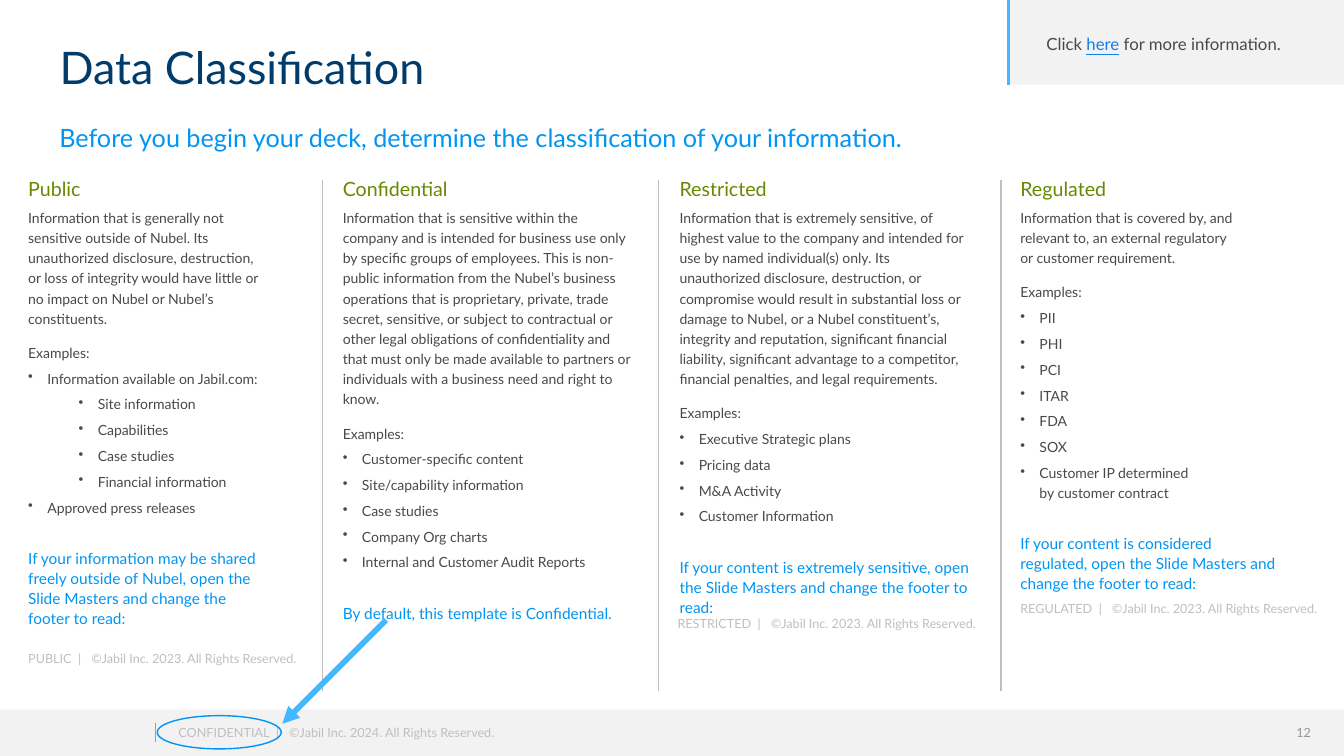
"""Build the Data Classification slide."""
from dataclasses import dataclass

from lxml import etree
from pptx import Presentation
from pptx.dml.color import RGBColor
from pptx.enum.shapes import MSO_CONNECTOR, MSO_SHAPE
from pptx.enum.text import MSO_ANCHOR, MSO_AUTO_SIZE, PP_ALIGN
from pptx.oxml.ns import qn
from pptx.util import Inches, Pt

RECT, OVAL = MSO_SHAPE.RECTANGLE, MSO_SHAPE.OVAL
STRAIGHT = MSO_CONNECTOR.STRAIGHT
TOP, MIDDLE = MSO_ANCHOR.TOP, MSO_ANCHOR.MIDDLE
LEFT, RIGHT = PP_ALIGN.LEFT, PP_ALIGN.RIGHT
NO_FIT = MSO_AUTO_SIZE.NONE
FONT = "Lato"
NAVY, BLUE, SKY, LINK = "003C6B", "0095F2", "43B7FF", "0F80EE"
GREEN, TEXT, GRAY, PALE, NUMBER = "688802", "494949", "BFBFBF", "F2F2F2", "959595"
COLUMN_TOP, DIVIDER_BOTTOM = 1.79, 6.86


@dataclass
class Column:
    """One classification level; examples pair a text with its indent level."""
    name: str
    x: float
    w: float
    h: float
    description: str
    examples: list[tuple[str, int]]
    advice: str


@dataclass
class Notice:
    """A sample footer line."""
    label: str
    year: int
    x: float
    y: float
    w: float


COLUMNS = [
    Column("Public", 0.28, 2.36, 4.63,
           "Information that is generally not sensitive outside of Nubel. Its unauthorized "
           "disclosure, destruction, or loss of integrity would have little or no impact on "
           "Nubel or Nubel’s constituents.",
           [("Information available on Jabil.com:", 0), ("Site information", 1),
            ("Capabilities", 1), ("Case studies", 1), ("Financial information", 1),
            ("Approved press releases", 0)],
           "If your information may be shared freely outside of Nubel, open the Slide Masters "
           "and change the footer to read:"),
    Column("Confidential", 3.4, 2.91, 4.44,
           "Information that is sensitive within the company and is intended for business use "
           "only by specific groups of employees. This is non-public information from the "
           "Nubel’s business operations that is proprietary, private, trade secret, sensitive, "
           "or subject to contractual or other legal obligations of confidentiality and that "
           "must only be made available to partners or individuals with a business need and "
           "right to know.",
           [("Customer-specific content", 0), ("Site/capability information", 0),
            ("Case studies", 0), ("Company Org charts", 0),
            ("Internal and Customer Audit Reports", 0)],
           "By default, this template is Confidential."),
    Column("Restricted", 6.74, 2.91, 4.33,
           "Information that is extremely sensitive, of highest value to the company and "
           "intended for use by named individual(s) only. Its unauthorized disclosure, "
           "destruction, or compromise would result in substantial loss or damage to Nubel, or "
           "a Nubel constituent’s, integrity and reputation, significant financial liability, "
           "significant advantage to a competitor, financial penalties, and legal requirements.",
           [("Executive Strategic plans", 0), ("Pricing data", 0), ("M&A Activity", 0),
            ("Customer Information", 0)],
           "If your content is extremely sensitive, open the Slide Masters and change the "
           "footer to read:"),
    Column("Regulated", 10.12, 2.54, 4.14,
           "Information that is covered by, and\nrelevant to, an external regulatory\n"
           "or customer requirement.",
           [("PII", 0), ("PHI", 0), ("PCI", 0), ("ITAR", 0), ("FDA", 0), ("SOX", 0),
            ("Customer IP determined\nby customer contract", 0)],
           "If your content is considered regulated, open the Slide Masters and change the "
           "footer to read:"),
]
NOTICES = [
    Notice("CONFIDENTIAL", 2024, 1.77, 7.19, 6.47),
    Notice("PUBLIC", 2023, 0.28, 6.46, 2.82),
    Notice("RESTRICTED", 2023, 6.72, 6.11, 3.19),
    Notice("REGULATED", 2023, 10.12, 5.96, 3.15),
]
DIVIDERS = [3.2, 6.53, 9.93]


def rgb(color: str) -> RGBColor:
    """Turn a hex string into a colour."""
    return RGBColor.from_string(color)


def style(p, size: float, color: str) -> None:
    """Format every run of a paragraph."""
    for r in p.runs:
        r.font.name, r.font.size = FONT, Pt(size)
        r.font.color.rgb = rgb(color)


def add_box(s, x: float, y: float, w: float, h: float, inset: bool = False, anchor=TOP):
    """Add a wrapping text box and return its text frame."""
    tf = s.shapes.add_textbox(Inches(x), Inches(y), Inches(w), Inches(h)).text_frame
    tf.word_wrap, tf.vertical_anchor = True, anchor
    if not inset:
        tf.margin_left = tf.margin_right = tf.margin_top = tf.margin_bottom = 0
    return tf


def add_shape(s, kind, x: float, y: float, w: float, h: float, fill: str = "", line: str = ""):
    """Add a preset shape with an optional fill and outline."""
    sp = s.shapes.add_shape(kind, Inches(x), Inches(y), Inches(w), Inches(h))
    sp.shadow.inherit = False
    if fill:
        sp.fill.solid()
        sp.fill.fore_color.rgb = rgb(fill)
    else:
        sp.fill.background()
    if line:
        sp.line.color.rgb, sp.line.width = rgb(line), Pt(1)
    else:
        sp.line.fill.background()


def add_line(s, x1: float, y1: float, x2: float, y2: float, color: str, width: float,
             arrow: bool = False) -> None:
    """Add a straight line, with an arrowhead at its start if asked."""
    cxn = s.shapes.add_connector(STRAIGHT, Inches(x1), Inches(y1), Inches(x2), Inches(y2))
    cxn.line.color.rgb, cxn.line.width = rgb(color), Pt(width)
    if arrow:
        etree.SubElement(cxn.line._get_or_add_ln(), qn("a:headEnd"), type="triangle")
    etree.SubElement(cxn._element.spPr, qn("a:effectLst"))


def add_column(s, col: Column) -> None:
    """Write the heading, description, examples and advice of one level."""
    tf = add_box(s, col.x, COLUMN_TOP, col.w, col.h)
    rows = [(col.name, 14, GREEN, 0, None), (col.description, 10, TEXT, 0, None),
            ("Examples:", 10, TEXT, 6, None)]
    rows += [(text, 10, TEXT, 0, level) for text, level in col.examples]
    rows.append((col.advice, 11, BLUE, 18.4, None))
    for i, (text, size, color, before, level) in enumerate(rows):
        p = tf.add_paragraph() if i else tf.paragraphs[0]
        p.text = text
        if level is not None:
            p.level = level
            pPr = p._p.get_or_add_pPr()
            pPr.set("marL", str(Inches(0.19 + 0.5 * level)))
            pPr.set("indent", str(Inches(-0.19)))
            etree.SubElement(pPr, qn("a:buChar"), char="•")
        p.line_spacing, p.space_after = Pt(14.4), Pt(4)
        if before:
            p.space_before = Pt(before)
        style(p, size, color)


def add_notice(s, notice: Notice) -> None:
    """Write a footer line with a widely spaced separator."""
    p = add_box(s, notice.x, notice.y, notice.w, 0.15).paragraphs[0]
    for text in (notice.label, " | ", f"©Jabil Inc. {notice.year}. All Rights Reserved."):
        p.add_run().text = text
    style(p, 9, GRAY)
    p.runs[1].font._element.set("spc", "240")


def main() -> None:
    """Build and save the slide."""
    prs = Presentation()
    prs.slide_width, prs.slide_height = Inches(13.33), Inches(7.5)
    s = prs.slides.add_slide(prs.slide_layouts[5])
    add_shape(s, RECT, 0, 7.04, 13.33, 0.46, fill=PALE)
    add_line(s, 1.54, 7.17, 1.54, 7.36, SKY, 1)
    add_shape(s, RECT, 10, 0, 3.33, 0.84, fill=PALE)
    add_line(s, 10, 0, 10, 0.84, SKY, 2)

    title = s.shapes.title
    title.left, title.top = Inches(0.49), Inches(0.12)
    title.width, title.height = Inches(12.04), Inches(1.08)
    tf = title.text_frame
    tf.text = "Data Classification"
    tf.vertical_anchor, tf.auto_size = MIDDLE, NO_FIT
    tf.paragraphs[0].alignment = LEFT
    style(tf.paragraphs[0], 32, NAVY)

    p = add_box(s, 0.49, 1.16, 12.04, 0.44, inset=True).paragraphs[0]
    p.text = "Before you begin your deck, determine the classification of your information."
    style(p, 18, BLUE)

    for col in COLUMNS:
        add_column(s, col)
    for x in DIVIDERS:
        add_line(s, x, COLUMN_TOP, x, DIVIDER_BOTTOM, GRAY, 1)
    for notice in NOTICES:
        add_notice(s, notice)

    p = add_box(s, 10.1, 7.13, 3, 0.28, inset=True, anchor=MIDDLE).paragraphs[0]
    p.text, p.alignment = "12", RIGHT
    style(p, 9, NUMBER)

    p = add_box(s, 10.28, 0.15, 2.81, 0.56, inset=True, anchor=MIDDLE).paragraphs[0]
    for text in ("Click ", "here", " for more information."):
        p.add_run().text = text
    style(p, 12, TEXT)
    p.runs[1].font.underline = True
    p.runs[1].font.color.rgb = rgb(LINK)

    add_shape(s, OVAL, 1.56, 7.1, 1.23, 0.33, line=BLUE)
    add_line(s, 2.8, 7.18, 3.83, 6.15, SKY, 4, arrow=True)
    prs.save("out.pptx")


if __name__ == "__main__":
    main()
